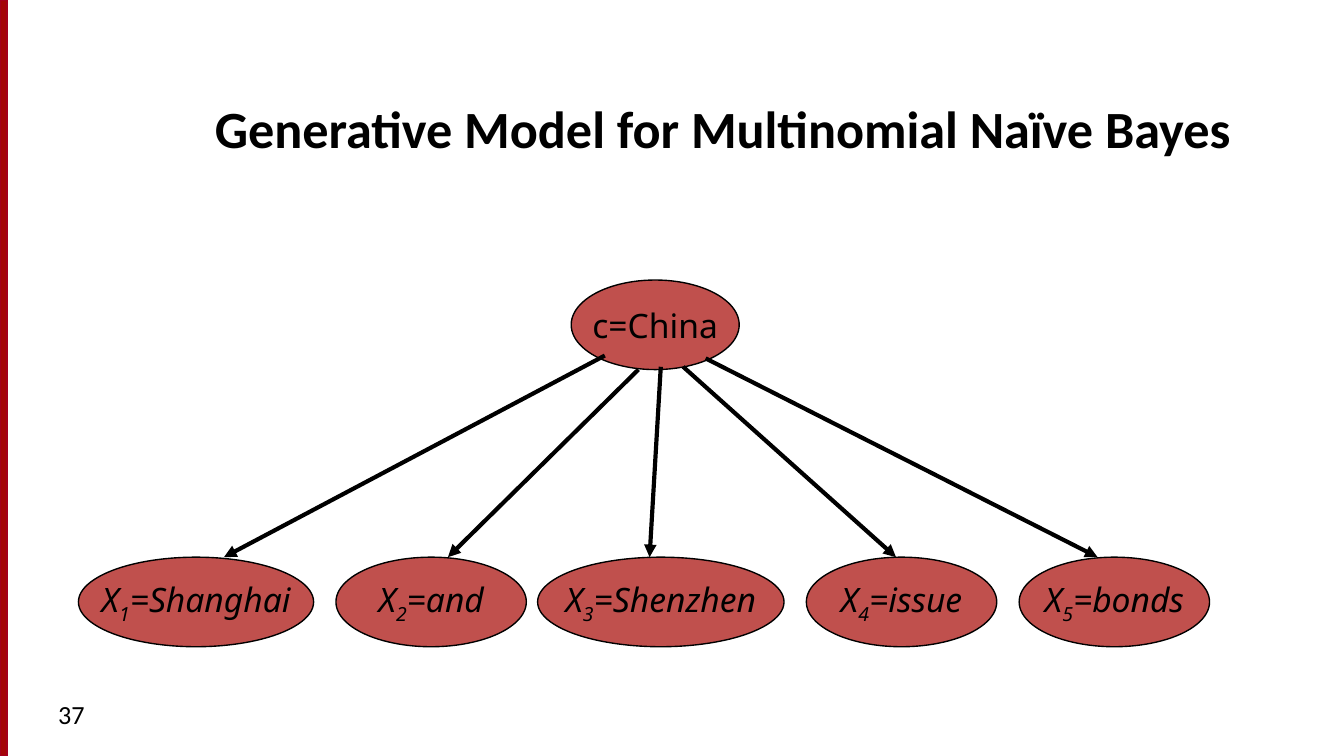
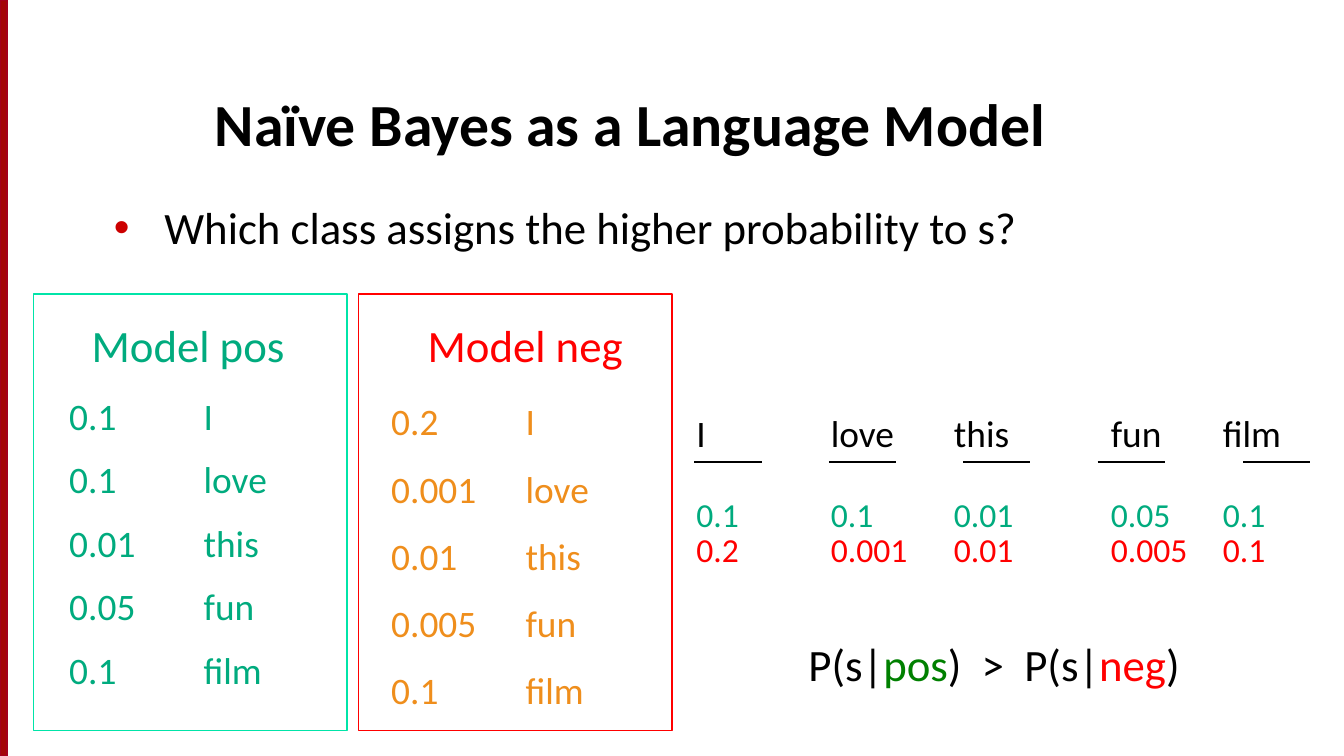
from pptx import Presentation
from pptx.dml.color import RGBColor as RGB
from pptx.enum.shapes import MSO_CONNECTOR as Conn, MSO_SHAPE as Shape
from pptx.enum.text import MSO_ANCHOR as Anchor, PP_ALIGN as Align
from pptx.oxml.ns import qn
from pptx.util import Pt
from lxml.etree import SubElement as Sub

PX = 9525  # 96 px to the inch
WIDE, HIGH = 960, 540

BLACK = RGB(0x00, 0x00, 0x00)
BAND = RGB(0xA4, 0x05, 0x08)
EDGE = RGB(0xA4, 0x00, 0x1D)
BRICK = RGB(0xC0, 0x50, 0x4D)
TEAL = RGB(0x00, 0xAB, 0x7E)
MINT = RGB(0x00, 0xE4, 0xA8)
RED = RGB(0xFF, 0x00, 0x00)
GREEN = RGB(0x00, 0x80, 0x00)
AMBER = RGB(0xEF, 0x8E, 0x1C)
BULLET = RGB(0xCC, 0x00, 0x00)

SANS, NOTO = "Calibri", "Noto Sans"

# Leaf: left, width, word, arrow start, arrow end x
LEAVES = [
    (56, 168, "Shanghai", (432, 254), 160),
    (240, 136, "and", (456, 264), 320),
    (384, 176, "Shenzhen", (472, 262), 464),
    (576, 136, "issue", (488, 262), 640),
    (728, 136, "bonds", (504, 256), 784),
]
LEAF_TOP, NODE_H = 398, 64

WORDS = ["I", "love", "this", "fun", "film"]
POS = ["0.1", "0.1", "0.01", "0.05", "0.1"]
NEG = ["0.2", "0.001", "0.01", "0.005", "0.1"]
TAB = 96  # from the number to its word

# Column: left, width, left of its rule
COLS = [(488, 80, 496), (584, 88, 592), (672, 96, 688),
        (784, 96, 784), (864, 144, 888)]
RULE_Y, RULE_W = 330, 48


def px(*nums):
    return [n * PX for n in nums]


def style(para, size, color, face=SANS):
    font = para.font
    font.name, font.size = face, Pt(size)
    if color is not None:
        font.color.rgb = color


def text(shapes, box, lines, size, color=BLACK, gap=0, lead=None):
    """Put a text box with one paragraph for each line."""
    frame = shapes.add_textbox(*px(*box)).text_frame
    frame.word_wrap = True
    for i, line in enumerate(lines):
        para = frame.add_paragraph() if i else frame.paragraphs[0]
        para.add_run().text = line
        if "\t" in line:
            tabs = Sub(para._p.get_or_add_pPr(), qn("a:tabLst"))
            Sub(tabs, qn("a:tab"), pos=str(TAB * PX), algn="l")
        style(para, size, color)
        if i and gap:
            para.space_before = Pt(gap)
        if lead:
            para.line_spacing = lead
    return frame


def shape(shapes, kind, box, fill, edge):
    item = shapes.add_shape(kind, *px(*box))
    item.shadow.inherit = False
    if fill is None:
        item.fill.background()
    else:
        item.fill.solid()
        item.fill.fore_color.rgb = fill
    item.line.color.rgb = edge
    item.line.width = Pt(0.75)
    return item


def line(shapes, start, end, width, head=False):
    item = shapes.add_connector(Conn.STRAIGHT, *px(*start, *end))
    item.line.color.rgb = BLACK
    item.line.width = Pt(width)
    if head:
        Sub(item.line._get_or_add_ln(), qn("a:tailEnd"), type="triangle")
    Sub(item._element.spPr, qn("a:effectLst"))


def node(shapes, left, top, width, parts, slant=False):
    """Draw an ellipse; the second of its parts is set as a subscript."""
    item = shape(shapes, Shape.OVAL, (left, top, width, NODE_H), BRICK, BLACK)
    frame = item.text_frame
    frame.word_wrap = False
    frame.vertical_anchor = Anchor.MIDDLE
    para = frame.paragraphs[0]
    para.alignment = Align.CENTER
    style(para, 18, BLACK, NOTO)
    para.font.italic = slant
    for i, part in enumerate(parts):
        run = para.add_run()
        run.text = part
        if i == 1:
            run._r.get_or_add_rPr().set("baseline", "-25000")


def bullet(para, indent):
    props = para._p.get_or_add_pPr()
    props.set("marL", str(indent * PX))
    props.set("indent", str(-indent * PX))
    Sub(Sub(props, qn("a:buClr")), qn("a:srgbClr"), val=str(BULLET))
    Sub(props, qn("a:buFont"), typeface="Arial")
    Sub(props, qn("a:buChar"), char="•")
    props.append(props.find(qn("a:defRPr")))  # the font goes last


def page(deck, title, size):
    """Add a slide with the side band and the title."""
    shapes = deck.slides.add_slide(deck.slide_layouts[6]).shapes
    shape(shapes, Shape.RECTANGLE, (0, 0, 5, HIGH), BAND, EDGE)
    frame = text(shapes, (144, 40, 784, 78), [title], size)
    frame.vertical_anchor = Anchor.BOTTOM
    frame.paragraphs[0].font.bold = True
    return shapes


def tree(deck):
    shapes = page(deck, "Generative Model for Multinomial Naïve Bayes", 28)
    text(shapes, (32, 494, 208, 36), ["37"], 14)
    node(shapes, 408, 200, 120, ["c=China"])
    for i, (left, width, word, start, end) in enumerate(LEAVES, 1):
        node(shapes, left, LEAF_TOP, width, ["X", str(i), "=" + word], True)
        line(shapes, start, (end, LEAF_TOP), 2.25, True)


def pairs(nums):
    return [f"{num}\t{word}" for num, word in zip(nums, WORDS)]


def models(deck):
    shapes = page(deck, "Naïve Bayes as a Language Model", 32)
    ask = text(shapes, (72, 138, 816, 85),
               ["Which class assigns the higher probability to s?"], 24)
    bullet(ask.paragraphs[0], 36)

    # Two model cards
    text(shapes, (40, 276, 256, 236), pairs(POS), 20, TEAL, gap=10)
    text(shapes, (56, 222, 168, 48), ["Model pos"], 24, TEAL)
    text(shapes, (296, 222, 168, 48), ["Model neg"], 24, RED)
    for left, edge in ((24, MINT), (256, RED)):
        shape(shapes, Shape.RECTANGLE, (left, 210, 224, 312), None, edge)
    text(shapes, (270, 264, 170, 250), pairs(NEG), 20, AMBER, lead=1.5)

    # Sentence with both scores under each word
    head = shapes.add_group_shape().shapes
    score = shapes.add_group_shape().shapes
    for (left, width, rule), word, pos, neg in zip(COLS, WORDS, POS, NEG):
        text(head, (left, 288, width, 42), [word], 20)
        line(head, (rule, RULE_Y), (rule + RULE_W, RULE_Y), 0.75)
        text(score, (left, 348, width, 38), [pos], 18, TEAL)
        text(score, (left, 373, width, 38), [neg], 18, RED)

    # Verdict
    frame = text(shapes, (568, 450, 304, 48), ["P(s|"], 24, None)
    para = frame.paragraphs[0]
    for part in ("pos", ")  >  P(s|", "neg", ")"):
        para.add_run().text = part
    for run, color in zip(para.runs, (BLACK, GREEN, BLACK, RED, BLACK)):
        run.font.color.rgb = color


def main():
    deck = Presentation()
    deck.slide_width, deck.slide_height = px(WIDE, HIGH)
    tree(deck)
    models(deck)
    deck.save("out.pptx")


if __name__ == "__main__":
    main()
